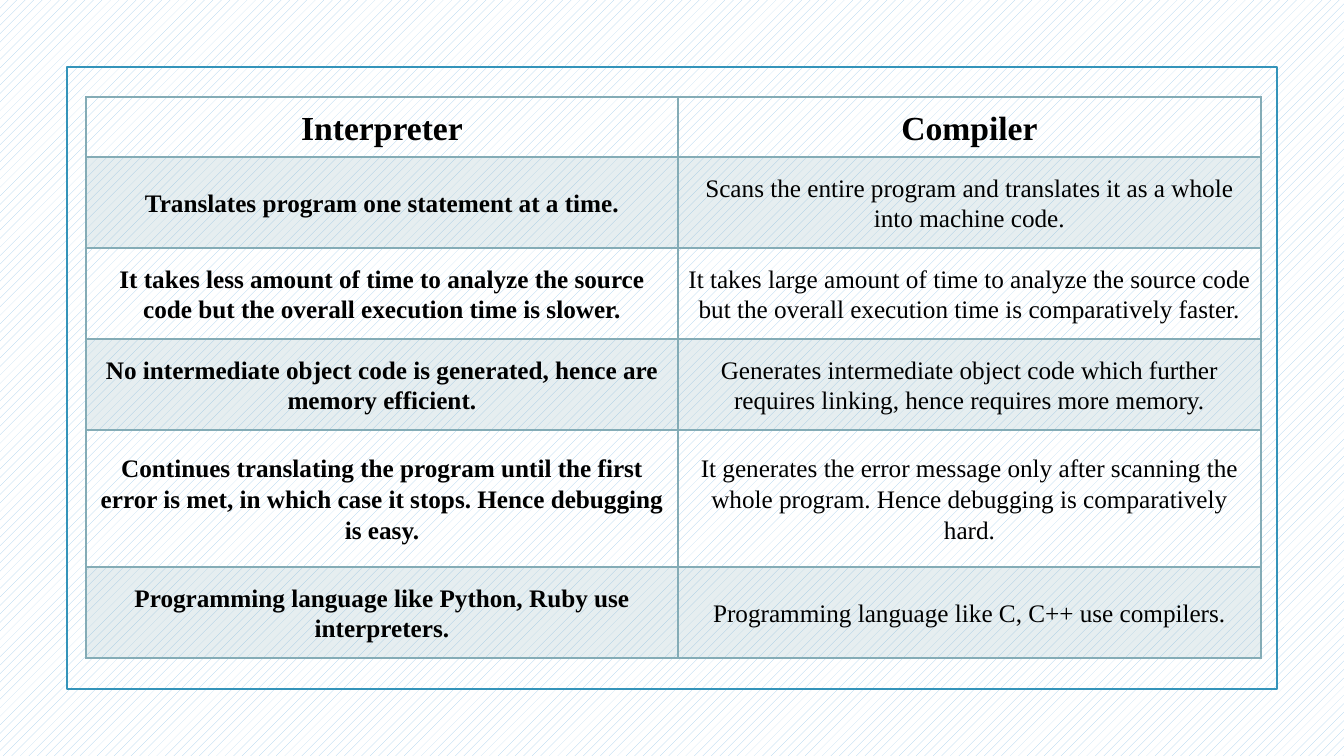
from lxml import etree
from pptx import Presentation
from pptx.dml.color import RGBColor
from pptx.enum.dml import MSO_PATTERN
from pptx.enum.shapes import MSO_SHAPE
from pptx.enum.text import MSO_ANCHOR, PP_ALIGN
from pptx.oxml.ns import qn
from pptx.util import Emu, Pt

COLORS = {
    "dots": "A3CEED",
    "paper": "FFFFFF",
    "frame": "3494BA",
    "grid": "84ACB6",
    "text": "000000",
}
FONT = "Times New Roman"
COL_WIDTHS = [592, 583]
ROW_HEIGHTS = [60, 91, 91, 91, 137, 91]
ROWS = [
    ("Interpreter", "Compiler"),
    ("Translates program one statement at a time.",
     "Scans the entire program and translates it as a whole into machine code."),
    ("It takes less amount of time to analyze the source code but the overall "
     "execution time is slower.",
     "It takes large amount of time to analyze the source code but the overall "
     "execution time is comparatively faster."),
    ("No intermediate object code is generated, hence are memory efficient.",
     "Generates intermediate object code which further requires linking, hence "
     "requires more memory."),
    ("Continues translating the program until the first error is met, in which "
     "case it stops. Hence debugging is easy.",
     "It generates the error message only after scanning the whole program. "
     "Hence debugging is comparatively hard."),
    ("Programming language like Python, Ruby use interpreters.",
     "Programming language like C, C++ use compilers."),
]


def px(n):
    return Emu(round(n * 914400 / 100.8))


def rgb(name):
    return RGBColor.from_string(COLORS[name])


prs = Presentation()
prs.slide_width, prs.slide_height = px(1344), px(756)
s = prs.slides.add_slide(prs.slide_layouts[6])

bg = s.background.fill
bg.patterned()
bg.pattern = MSO_PATTERN.PERCENT_20
bg.fore_color.rgb = rgb("dots")
bg.back_color.rgb = rgb("paper")

frame = s.shapes.add_shape(MSO_SHAPE.RECTANGLE, px(67), px(67), px(1210), px(622))
frame.shadow.inherit = False
frame.fill.background()
frame.line.color.rgb = rgb("frame")
frame.line.width = Pt(1.25)

table = s.shapes.add_table(len(ROWS), len(COL_WIDTHS), px(86), px(97),
                           px(sum(COL_WIDTHS)), px(sum(ROW_HEIGHTS))).table
table.first_row = False
table.horz_banding = False
for col, width in zip(table.columns, COL_WIDTHS):
    col.width = px(width)
for row, height in zip(table.rows, ROW_HEIGHTS):
    row.height = px(height)

for i, texts in enumerate(ROWS):
    for j, text in enumerate(texts):
        cell = table.cell(i, j)
        cell.vertical_anchor = MSO_ANCHOR.MIDDLE
        cell.margin_left = cell.margin_right = px(7)
        cell.margin_top = cell.margin_bottom = 0
        p = cell.text_frame.paragraphs[0]
        p.text = text
        p.alignment = PP_ALIGN.CENTER
        p.line_spacing = 1.1
        p.font.name = FONT
        p.font.size = Pt(24 if i == 0 else 18)
        p.font.bold = i == 0 or j == 0
        p.font.color.rgb = rgb("text")

        tc_pr = cell._tc.get_or_add_tcPr()
        if i % 2:
            cell.fill.solid()
            cell.fill.fore_color.rgb = rgb("grid")
            tint = tc_pr.find(qn("a:solidFill")).find(qn("a:srgbClr"))
            etree.SubElement(tint, qn("a:alpha"), val="20000")
        else:
            cell.fill.background()

        for k, side in enumerate(["lnL", "lnR", "lnT", "lnB"]):
            thick = (i, side) in [(0, "lnB"), (1, "lnT")]
            ln = etree.Element(qn(f"a:{side}"), w=str(Pt(2 if thick else 1)))
            ln_fill = etree.SubElement(ln, qn("a:solidFill"))
            etree.SubElement(ln_fill, qn("a:srgbClr"), val=COLORS["grid"])
            tc_pr.insert(k, ln)

prs.save("out.pptx")
